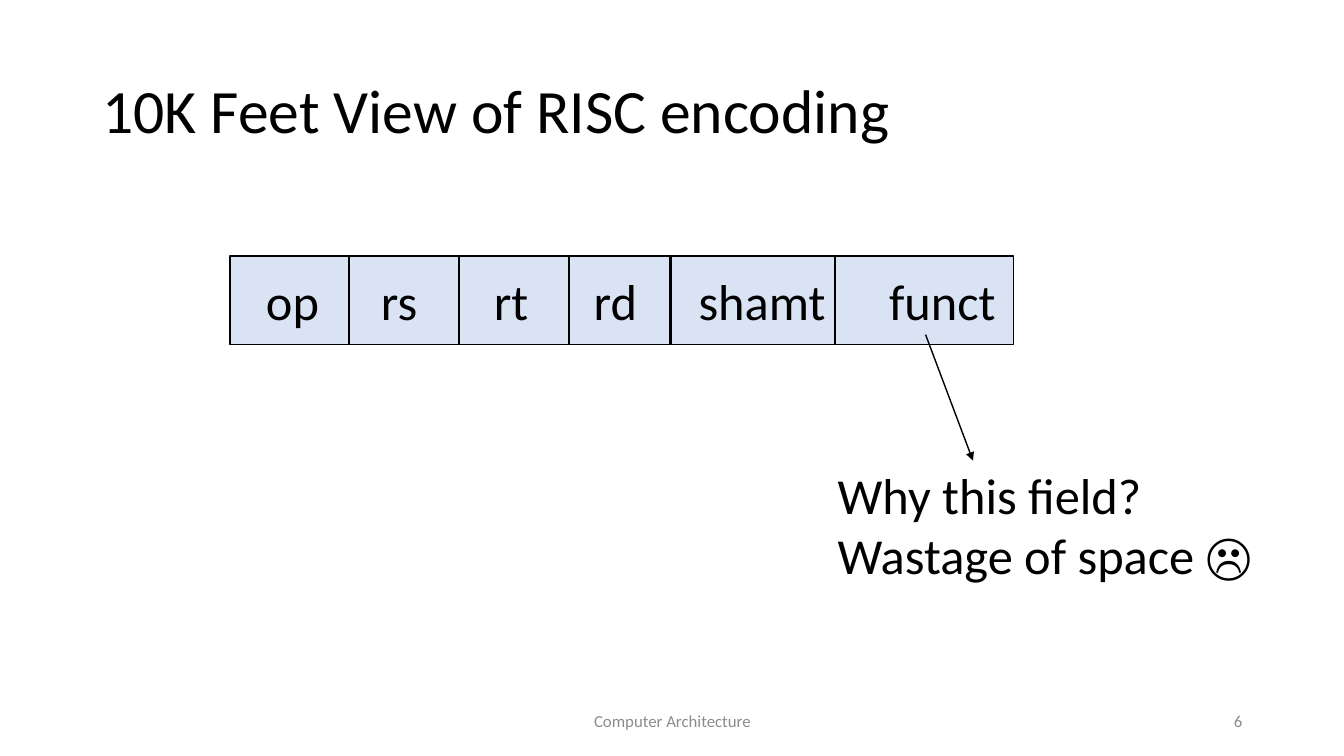
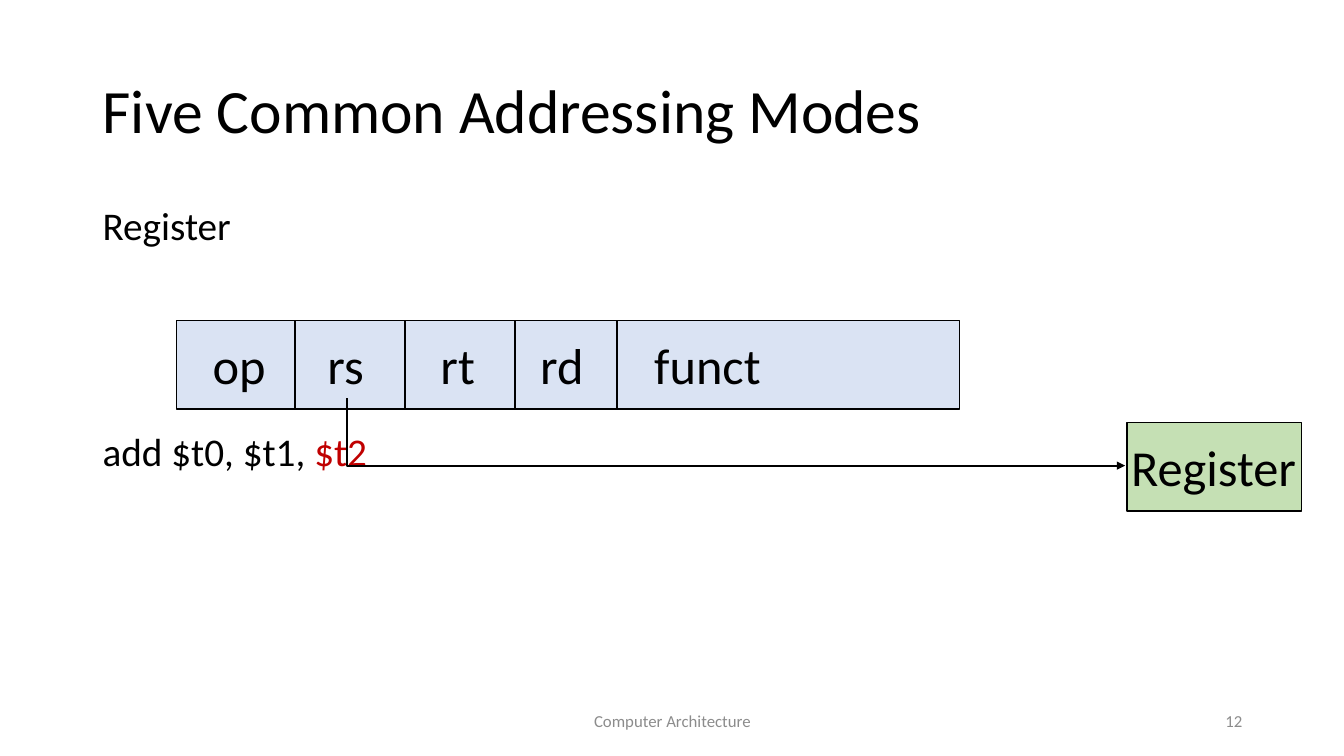
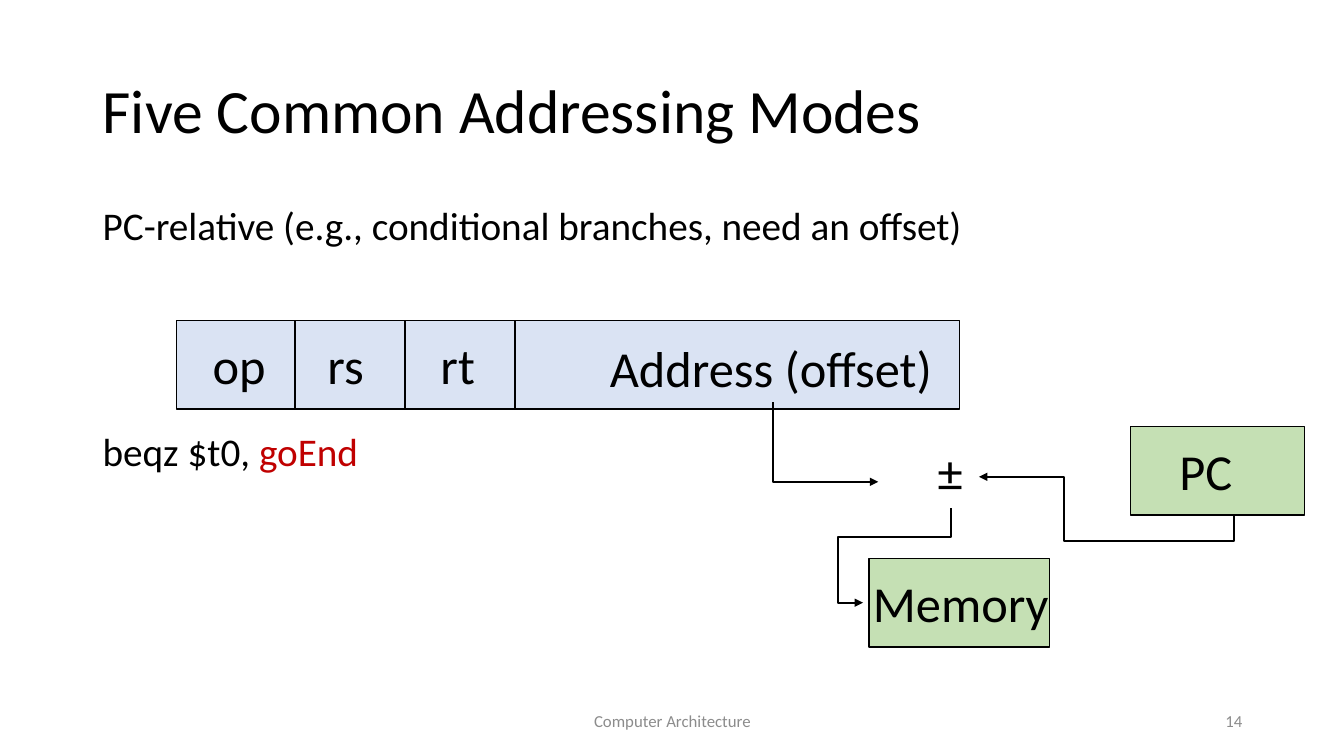
from dataclasses import dataclass

from lxml.etree import SubElement
from pptx import Presentation
from pptx.dml.color import RGBColor
from pptx.enum.shapes import MSO_CONNECTOR as Conn, MSO_SHAPE as Shape
from pptx.enum.text import MSO_ANCHOR as Anchor, MSO_AUTO_SIZE as AutoSize, PP_ALIGN as Align
from pptx.oxml.ns import qn
from pptx.util import Emu, Pt

EMU_PER_PX = 9144  # 100 px to the inch


@dataclass(frozen=True)
class Theme:
    font: str = "Calibri"
    ink: str = "000000"
    muted: str = "8C8C8C"
    accent: str = "C00000"
    field_fill: str = "DAE3F3"
    unit_fill: str = "C5E0B4"
    title_pt: int = 44
    label_pt: int = 36
    body_pt: int = 28
    footer_pt: int = 12
    outline_pt: float = 1
    rule_pt: float = 1.5


@dataclass(frozen=True)
class Field:
    """One cell of an instruction word; width 0 fills the rest of the bar."""
    label: str
    width: int
    inset: int
    label_width: int
    drop: int = 9


@dataclass(frozen=True)
class Unit:
    """A green hardware box."""
    label: str
    left: int
    top: int
    width: int
    inset: int
    label_width: int


@dataclass(frozen=True)
class Arrow:
    """An arrow from its tip to its tail; corner is the inner bend of a four-part elbow."""
    tip: tuple[int, int]
    tail: tuple[int, int]
    bent: bool = True
    corner: tuple[int, int] | None = None


@dataclass(frozen=True)
class Page:
    number: int
    title: str
    bar: tuple[int, int]
    fields: list[Field]
    arrows: list[Arrow]
    units: tuple[Unit, ...] = ()
    mode: str = ""
    code: tuple[str, str] = ("", "")


T = Theme()
BAR_W, BOX_H, LABEL_H = 777, 88, 71

OP = Field("op", 118, 26, 73)
RS = Field("rs", 109, 22, 57)
RT = Field("rt", 109, 25, 55)
RD = Field("rd", 101, 15, 64)

PAGES = [
    Page(6, "10K Feet View of RISC encoding", (228, 254),
         [OP, RS, RT, RD, Field("shamt", 163, 18, 147), Field("funct", 0, 44, 127)],
         [Arrow((965, 457), (918, 332), bent=False)]),
    Page(12, "Five Common Addressing Modes", (175, 318),
         [OP, RS, RT, RD, Field("funct", 0, 27, 127)],
         [Arrow((1116, 462), (344, 395))],
         (Unit("Register", 1118, 419, 173, -6, 185),),
         "Register", ("add $t0, $t1, ", "$t2")),
    Page(14, "Five Common Addressing Modes", (175, 318),
         [OP, RS, RT, Field("Address (offset)", 0, 84, 344, drop=11)],
         [Arrow((971, 473), (1224, 512), corner=(1055, 537)),
          Arrow((871, 478), (767, 399)),
          Arrow((856, 598), (943, 504), corner=(831, 533))],
         (Unit("PC", 1121, 423, 173, 39, 73), Unit("Memory", 862, 554, 179, -6, 196)),
         "PC-relative (e.g., conditional branches, need an offset)", ("beqz $t0, ", "goEnd")),
]


def px(n: int) -> Emu:
    return Emu(n * EMU_PER_PX)


def rgb(color: str) -> RGBColor:
    return RGBColor.from_string(color)


def add_text(slide, box: tuple[int, int, int, int], *paragraphs, size: int = T.label_pt,
             color: str = T.ink, align=Align.LEFT, anchor=Anchor.TOP, wrap: bool = True,
             spacing: float | None = None, gap: int = 0) -> None:
    """Each paragraph is a string, or a sequence of (text, color) runs."""
    tf = slide.shapes.add_textbox(*map(px, box)).text_frame
    tf.word_wrap = wrap
    tf.auto_size = AutoSize.NONE if wrap else AutoSize.SHAPE_TO_FIT_TEXT
    tf.vertical_anchor = anchor
    for i, content in enumerate(paragraphs):
        p = tf.add_paragraph() if i else tf.paragraphs[0]
        p.alignment, p.line_spacing = align, spacing
        if i:
            p.space_before = Pt(gap)
        for text, run_color in [(content, color)] if isinstance(content, str) else content:
            r = p.add_run()
            r.text = text
            r.font.name, r.font.size = T.font, Pt(size)
            r.font.color.rgb = rgb(run_color)


def add_box(slide, left: int, top: int, width: int, fill: str) -> None:
    sp = slide.shapes.add_shape(Shape.RECTANGLE, px(left), px(top), px(width), px(BOX_H))
    sp.shadow.inherit = False
    sp.fill.solid()
    sp.fill.fore_color.rgb = rgb(fill)
    sp.line.color.rgb = rgb(T.ink)
    sp.line.width = Pt(T.outline_pt)


def add_line(slide, start: tuple[int, int], end: tuple[int, int],
             kind=Conn.STRAIGHT, width: float = T.rule_pt):
    cxn = slide.shapes.add_connector(kind, *map(px, (*start, *end)))
    cxn.line.color.rgb = rgb(T.ink)
    cxn.line.width = Pt(width)
    SubElement(cxn._element.spPr, qn("a:effectLst"))
    return cxn


def add_arrow(slide, arrow: Arrow) -> None:
    kind, width = (Conn.ELBOW, T.rule_pt) if arrow.bent else (Conn.STRAIGHT, T.outline_pt)
    cxn = add_line(slide, arrow.tip, arrow.tail, kind, width)
    sp_pr = cxn._element.spPr
    SubElement(sp_pr.find(qn("a:ln")), qn("a:headEnd"), type="triangle")
    if not arrow.bent:
        return
    geom = sp_pr.find(qn("a:prstGeom"))
    geom.set("prst", "bentConnector4" if arrow.corner else "bentConnector2")
    if arrow.corner:
        # Bend positions are fractions of the way from tip to tail
        guides = geom.find(qn("a:avLst"))
        for i, (a, b, c) in enumerate(zip(arrow.tip, arrow.tail, arrow.corner), 1):
            share = round((c - a) / (b - a) * 100000)
            SubElement(guides, qn("a:gd"), name=f"adj{i}", fmla=f"val {share}")


def add_label(slide, left: int, top: int, width: int, *lines: str, height: int = LABEL_H) -> None:
    add_text(slide, (left, top, width, height), *lines, wrap=False)


def add_fields(slide, left: int, top: int, fields: list[Field]) -> None:
    add_box(slide, left, top, BAR_W, T.field_fill)
    x = left
    for field in fields:
        if x > left:
            add_line(slide, (x, top), (x, top + BOX_H))
        add_label(slide, x + field.inset, top + field.drop, field.label_width, field.label)
        x += field.width


def add_page(prs, page: Page):
    slide = prs.slides.add_slide(prs.slide_layouts[6])
    # Title and footer
    add_text(slide, (92, 40, 1150, 145), page.title, size=T.title_pt,
             anchor=Anchor.MIDDLE, spacing=0.9)
    for left, width, text, align in ((442, 450, "Computer Architecture", Align.CENTER),
                                     (942, 300, str(page.number), Align.RIGHT)):
        add_text(slide, (left, 695, width, 40), text, size=T.footer_pt, color=T.muted,
                 align=align, anchor=Anchor.MIDDLE)
    # Addressing mode and its example
    if page.mode:
        add_text(slide, (92, 200, 1150, 476), page.mode,
                 tuple(zip(page.code, (T.ink, T.accent))),
                 size=T.body_pt, spacing=0.9, gap=131)
    # Diagram
    add_fields(slide, *page.bar, page.fields)
    for unit in page.units:
        add_box(slide, unit.left, unit.top, unit.width, T.unit_fill)
        add_label(slide, unit.left + unit.inset, unit.top + 9, unit.label_width, unit.label)
    for arrow in page.arrows:
        add_arrow(slide, arrow)
    return slide


def main() -> None:
    prs = Presentation()
    prs.slide_width, prs.slide_height = px(1333), px(750)
    encoding, _, relative = [add_page(prs, page) for page in PAGES]
    # Labels that stand outside the boxes
    add_label(encoding, 821, 455, 443, "Why this field?", "Wastage of space ☹", height=131)
    add_label(relative, 920, 433, 45, "±")
    prs.save("out.pptx")


if __name__ == "__main__":
    main()
